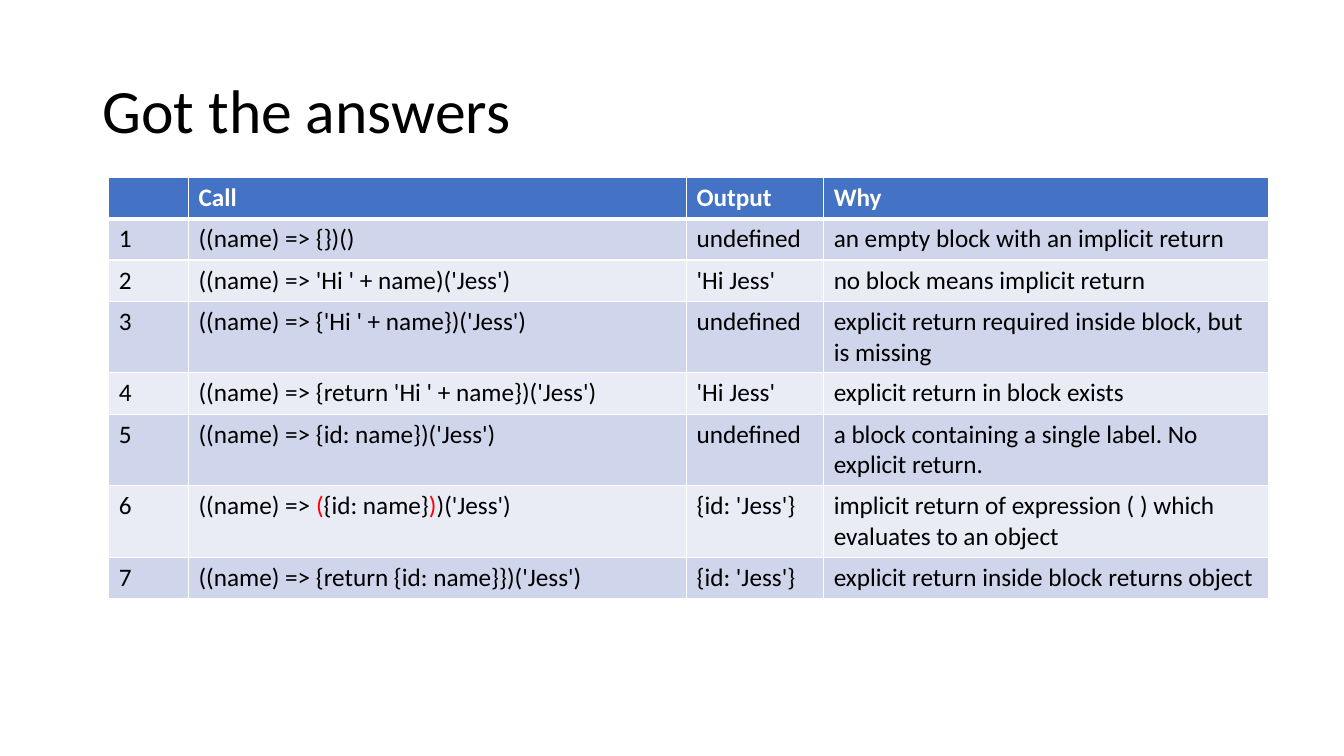
import pptx
import pptx.util
import pptx.dml.color
import pptx.enum.text
import pptx.oxml
import pptx.oxml.ns
from dataclasses import dataclass

Inches = pptx.util.Inches
Pt = pptx.util.Pt


@dataclass
class Theme:
    """Colours, font and type sizes of the slide."""
    font: str = "Calibri"
    title: int = 44
    body: int = 18
    ink: str = "000000"
    white: str = "FFFFFF"
    red: str = "FF0000"
    head: str = "4472C4"
    bands: tuple = ("CFD5EA", "E9EBF5")


theme = Theme()


def style(font, size, color, bold=False):
    """Set typeface, size, colour and weight of a font."""
    font.name = theme.font
    font.size = Pt(size)
    font.bold = bold
    font.color.rgb = pptx.dml.color.RGBColor.from_string(color)


def edge(cell, side, width):
    """Draw a white line on one side of a cell."""
    cell._tc.get_or_add_tcPr().append(pptx.oxml.parse_xml(
        f'<a:ln{side} {pptx.oxml.ns.nsdecls("a")} w="{Pt(width)}">'
        f'<a:solidFill><a:srgbClr val="{theme.white}"/></a:solidFill>'
        f'</a:ln{side}>'))


deck = pptx.Presentation()
deck.slide_width = Inches(13.33)
deck.slide_height = Inches(7.5)
slide = deck.slides.add_slide(deck.slide_layouts[6])

title = slide.shapes.add_textbox(
    Inches(0.92), Inches(0.4), Inches(11.5), Inches(1.45))
frame = title.text_frame
frame.word_wrap = True
frame.vertical_anchor = pptx.enum.text.MSO_ANCHOR.MIDDLE
frame.text = "Got the answers"
frame.paragraphs[0].line_spacing = 0.9
style(frame.paragraphs[0].runs[0].font, theme.title, theme.ink)

# Bars enclose the parts of a call that are set in red.
rows = [
    ("", "Call", "Output", "Why"),
    ("1", "((name) => {})()", "undefined",
     "an empty block with an implicit return"),
    ("2", "((name) => 'Hi ' + name)('Jess')", "'Hi Jess'",
     "no block means implicit return"),
    ("3", "((name) => {'Hi ' + name})('Jess')", "undefined",
     "explicit return required inside block, but is missing"),
    ("4", "((name) => {return 'Hi ' + name})('Jess')", "'Hi Jess'",
     "explicit return in block exists"),
    ("5", "((name) => {id: name})('Jess')", "undefined",
     "a block containing a single label. No explicit return."),
    ("6", "((name) => |(|{id: name}|)|)('Jess')", "{id: 'Jess'}",
     "implicit return of expression ( ) which evaluates to an object"),
    ("7", "((name) => {return {id: name}})('Jess')", "{id: 'Jess'}",
     "explicit return inside block returns object"),
]
widths = (0.79, 4.94, 1.36, 4.41)
tall = (3, 5, 6)  # rows whose reason takes two lines

table = slide.shapes.add_table(
    len(rows), len(widths), Inches(1.08), Inches(1.76),
    Inches(sum(widths)), Inches(4.12)).table
for column, width in zip(table.columns, widths):
    column.width = Inches(width)

for r, row in enumerate(rows):
    table.rows[r].height = Inches(0.71 if r in tall else 0.41)
    head = r == 0
    fill = theme.head if head else theme.bands[(r - 1) % 2]
    ink = theme.white if head else theme.ink
    for c, text in enumerate(row):
        cell = table.cell(r, c)
        for side in "LRTB":
            thick = (head and side == "B") or (r == 1 and side == "T")
            edge(cell, side, 3 if thick else 1)
        cell.fill.solid()
        cell.fill.fore_color.rgb = pptx.dml.color.RGBColor.from_string(fill)
        para = cell.text_frame.paragraphs[0]
        style(para.font, theme.body, ink, head)
        if text:
            for n, part in enumerate(text.split("|")):
                run = para.add_run()
                run.text = part
                style(run.font, theme.body, theme.red if n % 2 else ink, head)

deck.save("out.pptx")
